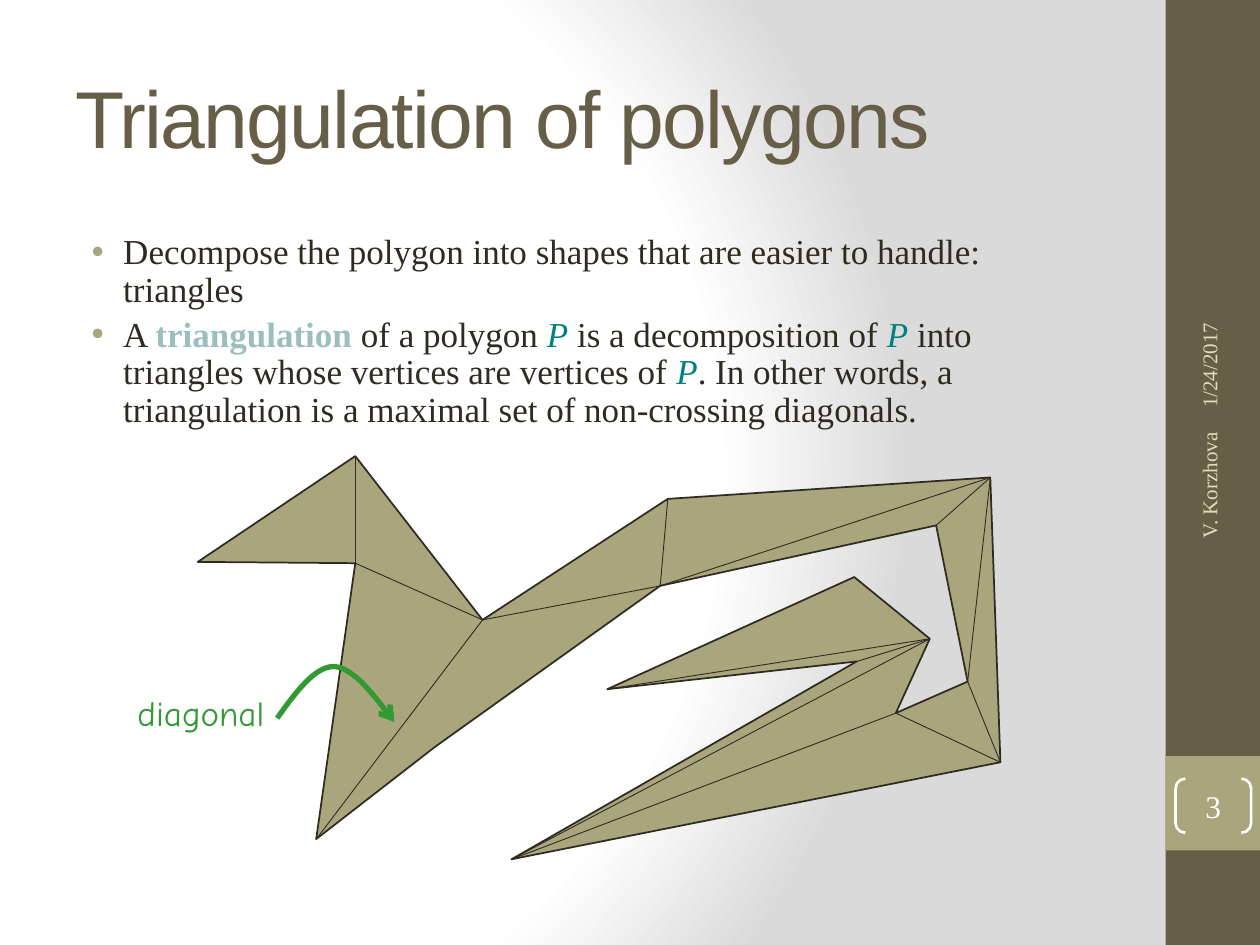
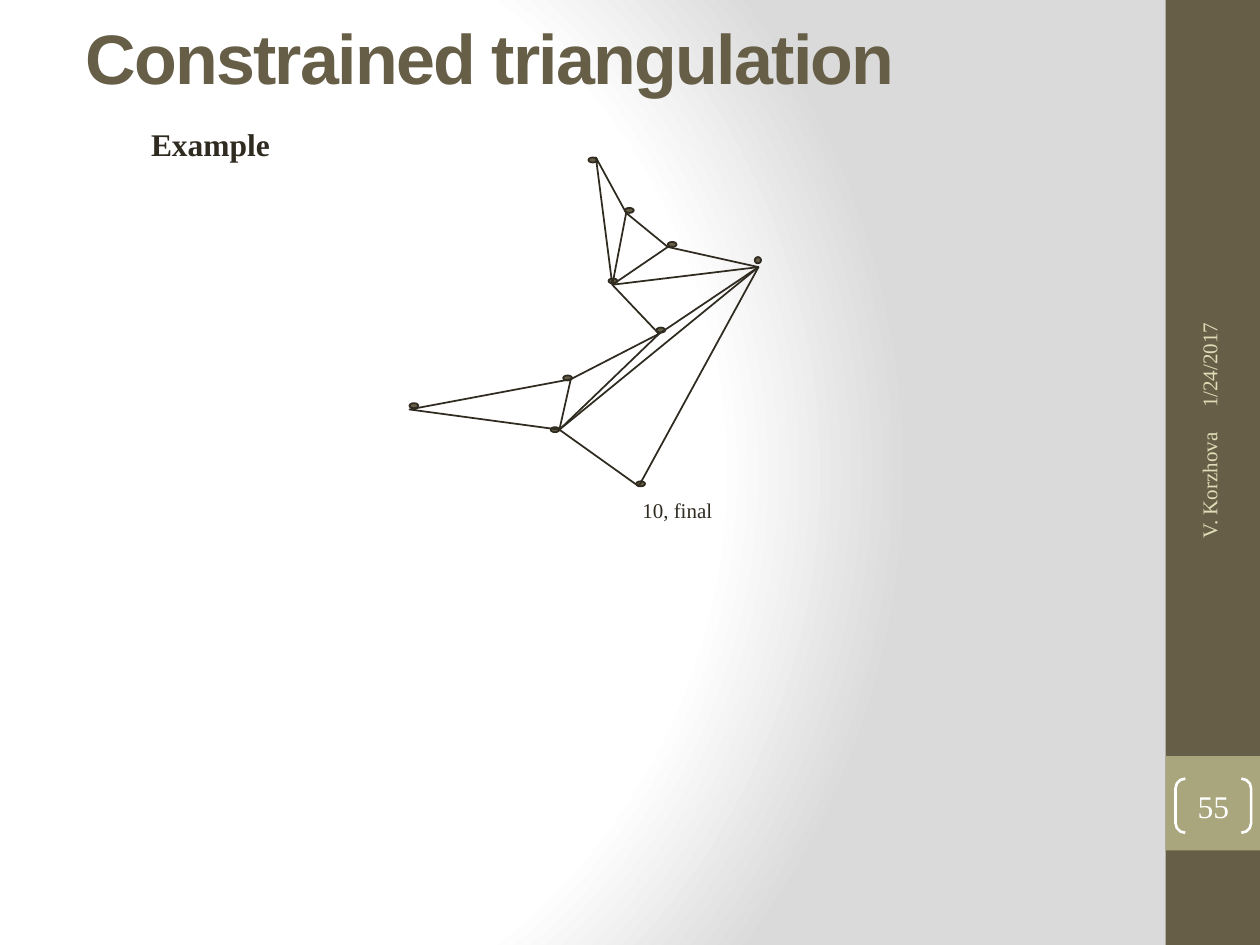
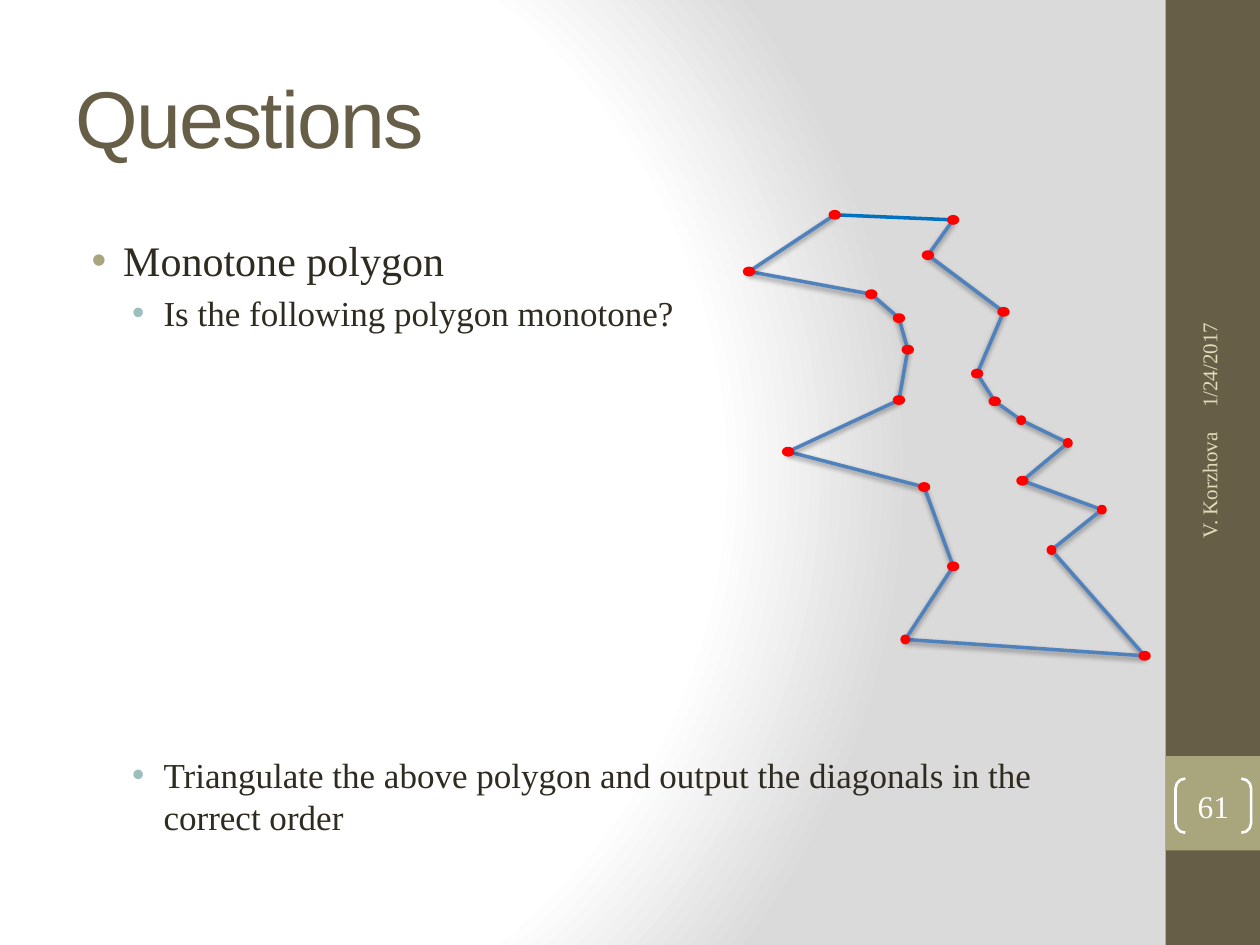
import dataclasses

import lxml.etree
import pptx
import pptx.dml.color
import pptx.enum.shapes
import pptx.enum.text
import pptx.oxml
import pptx.oxml.ns
import pptx.util

RGBColor = pptx.dml.color.RGBColor
Shape = pptx.enum.shapes.MSO_SHAPE
Align = pptx.enum.text.PP_ALIGN
Anchor = pptx.enum.text.MSO_ANCHOR
qn = pptx.oxml.ns.qn

# Shared look
BROWN = RGBColor(0x67, 0x5E, 0x47)
OLIVE = RGBColor(0xA9, 0xA5, 0x7C)
INK = RGBColor(0x2F, 0x2B, 0x20)
CREAM = RGBColor(0xDF, 0xDC, 0xB7)
WHITE = RGBColor(0xFF, 0xFF, 0xFF)
SAGE = RGBColor(0x9C, 0xBE, 0xBD)
TEAL = RGBColor(0x00, 0x83, 0x80)
GREEN = RGBColor(0x33, 0x99, 0x33)
RED = RGBColor(0xFF, 0x00, 0x00)
BLUE = RGBColor(0x00, 0x70, 0xC0)
STEEL = RGBColor(0x4F, 0x81, 0xBD)
TITLE_FONT, BODY_FONT, LABEL_FONT = "Arial", "Times New Roman", "Comic Neue"

# The slide is a grid of 1000 columns by 750 rows of square cells
CELL = pptx.util.Inches(0.01)
COLUMNS, ROWS = 1000, 750

DRAWING = 'xmlns:a="http://schemas.openxmlformats.org/drawingml/2006/main"'
BACKGROUND = f"""<a:gradFill {DRAWING} rotWithShape="1"><a:gsLst>
<a:gs pos="0"><a:srgbClr val="FFFFFF"/></a:gs>
<a:gs pos="75000"><a:srgbClr val="FFFFFF"/></a:gs>
<a:gs pos="100000"><a:srgbClr val="DADADA"/></a:gs></a:gsLst>
<a:path path="circle"><a:fillToRect l="20000" t="50000" r="100000" b="50000"/></a:path>
</a:gradFill>"""
SOFT_SHADOW = f"""<a:effectLst {DRAWING}>
<a:outerShdw blurRad="39370" dist="20320" dir="5400000" rotWithShape="0">
<a:srgbClr val="000000"><a:alpha val="38000"/></a:srgbClr></a:outerShdw></a:effectLst>"""
NO_SHADOW = f"<a:effectLst {DRAWING}/>"


@dataclasses.dataclass
class Box:
    left: float
    top: float
    width: float
    height: float

    def inner(self, left, top, width, height):
        return Box(self.left + left, self.top + top, width, height)

    def point(self, column, row):
        return cells(self.left + column), cells(self.top + row)

    def extent(self):
        return [cells(n) for n in (self.left, self.top, self.width, self.height)]


SLIDE = Box(0, 0, COLUMNS, ROWS)
TITLE_BOX = SLIDE.inner(50, 30, 833, 125)
BODY_BOX = SLIDE.inner(50, 175, 833, 525)
SIDE_BAND = SLIDE.inner(925, 0, 75, ROWS)


def cells(count):
    return round(count * CELL)


# Basic elements
def style_span(span, size, color=INK, font=BODY_FONT, bold=False, italic=False):
    span.font.size = pptx.util.Pt(size)
    span.font.name = font
    span.font.bold = bold
    span.font.italic = italic
    span.font.color.rgb = color


def add_text(page, box, text, size, color=INK, font=BODY_FONT, bold=False,
             align=Align.LEFT, anchor=Anchor.TOP, wrap=True):
    label = page.shapes.add_textbox(*box.extent())
    frame = label.text_frame
    frame.word_wrap = wrap
    frame.vertical_anchor = anchor
    frame.text = text
    para = frame.paragraphs[0]
    para.alignment = align
    style_span(para.runs[0], size, color, font, bold)
    return label


def add_shape(page, kind, box, fill=None, line=None, weight=1):
    shape = page.shapes.add_shape(kind, *box.extent())
    paint(shape, fill, line, weight)
    return shape


def paint(shape, fill, line, weight):
    shape.shadow.inherit = False
    if fill is None:
        shape.fill.background()
    else:
        shape.fill.solid()
        shape.fill.fore_color.rgb = fill
    if line is None:
        shape.line.fill.background()
    else:
        shape.line.color.rgb = line
        shape.line.width = pptx.util.Pt(weight)


def add_line(page, box, start, end, color, weight, effect=NO_SHADOW):
    line = page.shapes.add_connector(
        pptx.enum.shapes.MSO_CONNECTOR.STRAIGHT, *box.point(*start), *box.point(*end))
    line.line.color.rgb = color
    line.line.width = pptx.util.Pt(weight)
    line._element.spPr.append(pptx.oxml.parse_xml(effect))


def add_outline(page, box, points, fill, line, weight, close=True):
    corners = [box.point(*point) for point in points]
    builder = page.shapes.build_freeform(*corners[0])
    builder.add_line_segments(corners[1:], close=close)
    outline = builder.convert_to_shape()
    paint(outline, fill, line, weight)
    return outline


def add_triangulation(page, box, vertices, diagonals, fill, weight):
    add_outline(page, box, vertices, fill, INK, 1)
    for start, end in diagonals:
        add_line(page, box, vertices[start], vertices[end], INK, weight)


def bezier(p0, p1, p2, p3, steps=16):
    for step in range(1, steps + 1):
        t = step / steps
        weights = ((1 - t) ** 3, 3 * t * (1 - t) ** 2, 3 * t * t * (1 - t), t ** 3)
        yield tuple(sum(w * p[axis] for w, p in zip(weights, (p0, p1, p2, p3)))
                    for axis in (0, 1))


# Regions every slide has
def add_title(page, text, box=TITLE_BOX, size=46, bold=False):
    title = add_text(page, box, text, size, BROWN, TITLE_FONT, bold, anchor=Anchor.MIDDLE)
    title.text_frame.paragraphs[0].runs[0]._r.get_or_add_rPr().set("spc", "-100")


def add_side_band(page, box, number):
    add_shape(page, Shape.RECTANGLE, box, BROWN)
    add_shape(page, Shape.RECTANGLE, box.inner(0, 600, box.width, 75), OLIVE)
    date = add_text(page, box.inner(-99, 180, 267, 40), "1/24/2017", 12, CREAM,
                    anchor=Anchor.MIDDLE)
    author = add_text(page, box.inner(-95, 443, 259, 40), "V. Korzhova", 12, CREAM,
                      align=Align.RIGHT, anchor=Anchor.MIDDLE)
    date.rotation = author.rotation = 270

    # Slide number in brackets
    bracket = add_shape(page, Shape.DOUBLE_BRACKET, box.inner(8, 618, 60, 43),
                        line=WHITE, weight=1.5)
    bracket.adjustments[0] = 0.18
    frame = bracket.text_frame
    frame.margin_left = frame.margin_right = frame.margin_top = frame.margin_bottom = 0
    frame.vertical_anchor = Anchor.MIDDLE
    frame.text = str(number)
    frame.paragraphs[0].alignment = Align.CENTER
    style_span(frame.paragraphs[0].runs[0], 18, WHITE)


@dataclasses.dataclass
class Bullet:
    spans: list
    size: int = 20
    indent: int = 38
    color: RGBColor = OLIVE
    before: int = 4


def add_bullets(page, box, bullets, line_spacing=1.0):
    frame = page.shapes.add_textbox(*box.extent()).text_frame
    frame.word_wrap = True
    frame.margin_top = cells(11)
    for index, bullet in enumerate(bullets):
        para = frame.add_paragraph() if index else frame.paragraphs[0]
        properties = para._p.get_or_add_pPr()
        properties.set("marL", str(cells(bullet.indent)))
        properties.set("indent", str(cells(-25)))
        color = lxml.etree.SubElement(properties, qn("a:buClr"))
        lxml.etree.SubElement(color, qn("a:srgbClr"), val=str(bullet.color))
        lxml.etree.SubElement(properties, qn("a:buFont"), typeface="Arial")
        lxml.etree.SubElement(properties, qn("a:buChar"), char="•")
        para.line_spacing = line_spacing
        if index:
            para.space_before = pptx.util.Pt(bullet.before)
        for text, look in bullet.spans:
            span = para.add_run()
            span.text = text
            style_span(span, bullet.size, **look)


def add_page(deck, number):
    page = deck.slides.add_slide(deck.slide_layouts[6])
    add_side_band(page, SIDE_BAND, number)
    return page


# Slide: triangulation of polygons
def draw_bird(page, box):
    vertices = [(0, 84), (125, 0), (226, 130), (373, 34), (629, 17), (637, 243),
                (249, 320), (523, 163), (325, 185), (521, 96), (581, 145), (554, 204),
                (611, 179), (586, 55), (367, 103), (188, 231), (94, 304), (125, 85)]
    diagonals = [(1, 17), (17, 2), (2, 16), (2, 14), (14, 3), (14, 4), (13, 4),
                 (12, 4), (12, 5), (11, 5), (11, 6), (10, 6), (7, 10), (10, 8)]
    add_triangulation(page, box, vertices, diagonals, OLIVE, 0.5)

    # Curved arrow from the label to a diagonal
    start, peak, end = (63, 208), (108, 167), (156, 211)
    curve = [start, *bezier(start, (78, 187), (93, 167), peak),
             *bezier(peak, (124, 168), (140, 190), end)]
    arrow = add_outline(page, box, curve, None, GREEN, 3, close=False)
    lxml.etree.SubElement(arrow.line._get_or_add_ln(), qn("a:tailEnd"), type="arrow")
    add_text(page, box.inner(-74, 182, 153, 43), "diagonal", 20, GREEN, LABEL_FONT,
             align=Align.CENTER)


def build_triangulation(deck):
    page = add_page(deck, 3)
    add_title(page, "Triangulation of polygons")
    plain, term = {}, {"color": SAGE, "bold": True}
    symbol = ("P", {"color": TEAL, "italic": True})
    add_bullets(page, BODY_BOX, [
        Bullet([("Decompose the polygon into shapes that are easier to handle: triangles",
                 plain)]),
        Bullet([("A ", plain), ("triangulation", term), (" of a polygon ", plain), symbol,
                (" is a decomposition of ", plain), symbol,
                (" into triangles whose vertices are vertices of ", plain), symbol,
                (". In other words, a triangulation is a maximal set of "
                 "non-crossing diagonals.", plain)]),
    ], line_spacing=0.9)
    draw_bird(page, SLIDE.inner(157, 362, 637, 320))


# Slide: constrained triangulation
def draw_final_step(page, box):
    vertices = [(182, 261), (277, 87), (205, 71), (172, 44), (148, 0),
                (161, 101), (198, 140), (128, 176), (0, 200), (119, 216)]
    dots = [(180, 257), (274, 79), (205, 67), (171, 40), (142, 0),
            (158, 96), (196, 135), (122, 173), (0, 195), (112, 214)]
    diagonals = [(6, 1), (5, 3), (5, 2), (5, 1), (9, 7), (9, 6), (9, 1)]
    for index, (left, top) in enumerate(dots):
        width, height = (5, 5) if index == 1 else (7, 4)
        add_shape(page, Shape.OVAL, box.inner(left, top, width, height), BROWN, INK)
    add_triangulation(page, box, vertices, diagonals, None, 1)
    add_text(page, box.inner(175, 265, 76, 30), "10, final", 12, wrap=False)


def build_constrained(deck):
    page = add_page(deck, 55)
    add_title(page, "Constrained triangulation", SLIDE.inner(58, 19, 834, 52), 40, True)
    add_text(page, SLIDE.inner(110, 94, 115, 40), "Example", 18, bold=True, wrap=False)
    draw_final_step(page, SLIDE.inner(325, 125, 277, 261))


# Slide: questions
def draw_monotone_polygon(page, box):
    # Left, top and width of each dot, clockwise
    dots = [(68, 0, 7), (162, 4, 7), (142, 32, 7), (202, 77, 7), (181, 126, 7),
            (195, 148, 7), (217, 163, 5), (254, 181, 5), (217, 211, 7), (281, 234, 5),
            (241, 266, 5), (314, 350, 7), (125, 337, 5), (162, 279, 7), (139, 216, 7),
            (31, 188, 7), (119, 147, 7), (126, 107, 7), (119, 82, 7), (97, 63, 7),
            (0, 45, 7)]
    height = 5
    centres = [(left + width / 2, top + height / 2) for left, top, width in dots]
    sides = list(zip(centres, centres[1:] + centres[:1]))
    add_line(page, box, *sides[0], BLUE, 2)
    for side in sides[1:]:
        add_line(page, box, *side, STEEL, 2, SOFT_SHADOW)
    for left, top, width in dots:
        add_shape(page, Shape.FLOWCHART_CONNECTOR, box.inner(left, top, width, height),
                  RED, RED, 2)


def build_questions(deck):
    page = add_page(deck, 61)
    add_title(page, "Questions")
    add_bullets(page, BODY_BOX, [
        Bullet([("Monotone polygon", {})], size=24),
        Bullet([("Is the following polygon monotone?", {})], indent=70, color=SAGE),
        Bullet([("Triangulate the above polygon and output the diagonals in the "
                 "correct order", {})], indent=70, color=SAGE, before=240),
    ])
    draw_monotone_polygon(page, SLIDE.inner(591, 168, 321, 355))


def set_background(master):
    master.background.fill.solid()
    solid = master.element.find(".//" + qn("p:bgPr")).find(qn("a:solidFill"))
    solid.getparent().replace(solid, pptx.oxml.parse_xml(BACKGROUND))


def main():
    deck = pptx.Presentation()
    deck.slide_width, deck.slide_height = cells(COLUMNS), cells(ROWS)
    set_background(deck.slide_master)
    build_triangulation(deck)
    build_constrained(deck)
    build_questions(deck)
    deck.save("out.pptx")


if __name__ == "__main__":
    main()
